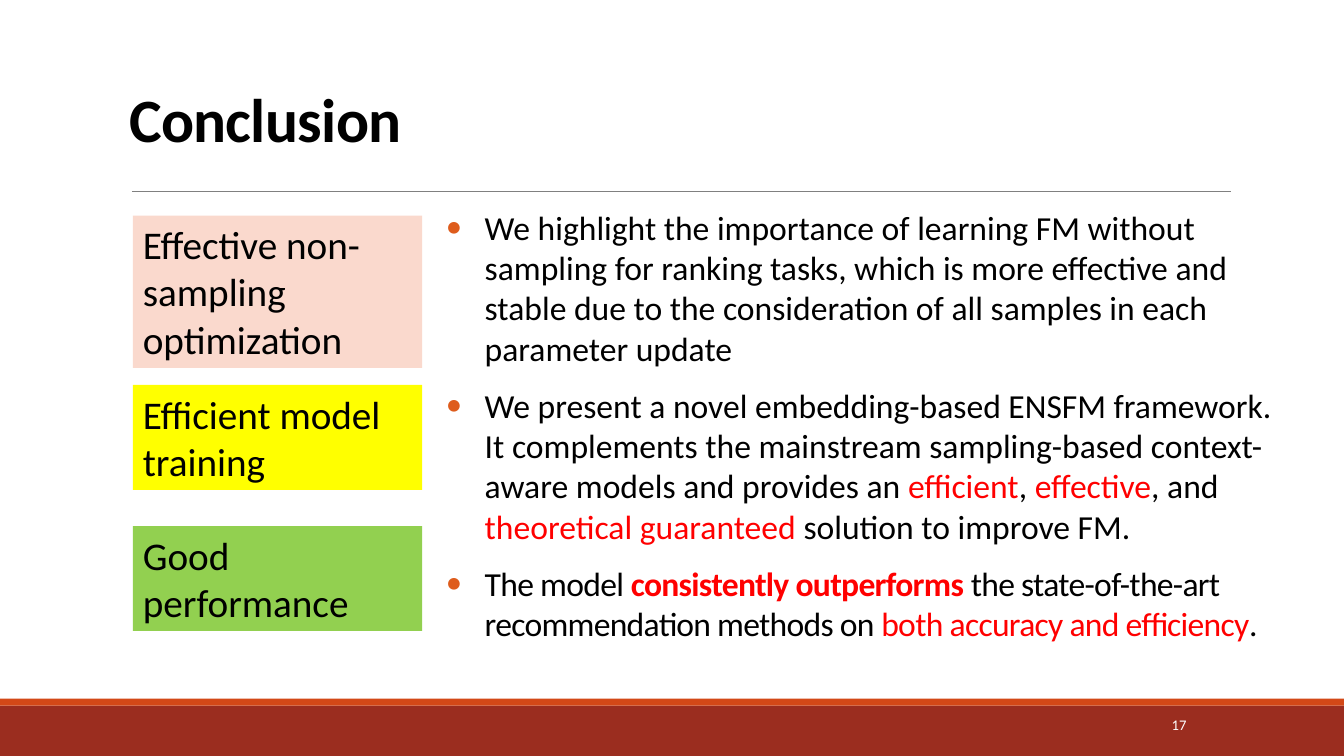
from lxml.etree import SubElement
from pptx import Presentation
from pptx.dml.color import RGBColor
from pptx.enum.shapes import MSO_CONNECTOR as Connector, MSO_SHAPE as Shape
from pptx.enum.text import MSO_ANCHOR as Anchor, PP_ALIGN as Align
from pptx.oxml.ns import qn
from pptx.util import Pt

BLACK = RGBColor(0x00, 0x00, 0x00)
WHITE = RGBColor(0xFF, 0xFF, 0xFF)
RED = RGBColor(0xFF, 0x00, 0x00)
GRAY = RGBColor(0x80, 0x80, 0x80)
BRICK = RGBColor(0x9B, 0x2D, 0x1F)
ORANGE = RGBColor(0xD3, 0x48, 0x17)
BULLET = RGBColor(0xDE, 0x5C, 0x1C)
PEACH = RGBColor(0xFA, 0xD9, 0xCD)
YELLOW = RGBColor(0xFF, 0xFF, 0x00)
GREEN = RGBColor(0x92, 0xD0, 0x50)

WIDTH, HEIGHT = 960, 540


class SlideBuilder:
    font_name = "Calibri"

    def __init__(self, slide):
        self.slide = slide

    def rectangle(self, left, top, width, height, color):
        shape = self.slide.shapes.add_shape(
            Shape.RECTANGLE, Pt(left), Pt(top), Pt(width), Pt(height))
        shape.shadow.inherit = False
        shape.fill.solid()
        shape.fill.fore_color.rgb = color
        shape.line.fill.background()
        return shape

    def rule(self, left, right, y):
        line = self.slide.shapes.add_connector(
            Connector.STRAIGHT, Pt(left), Pt(y), Pt(right), Pt(y))
        line.line.color.rgb = GRAY
        line.line.width = Pt(0.5)
        SubElement(line._element.spPr, qn("a:effectLst"))

    def frame(self, shape, **formats):
        for name, value in formats.items():
            setattr(shape.text_frame, name, value)
        return shape.text_frame

    def text_box(self, left, top, width, height, **formats):
        shape = self.slide.shapes.add_textbox(
            Pt(left), Pt(top), Pt(width), Pt(height))
        return self.frame(shape, word_wrap=True, **formats)

    def run(self, paragraph, text, size, color=BLACK, bold=False, spacing=0):
        run = paragraph.add_run()
        run.text = text
        formats = {"name": self.font_name, "size": Pt(size), "bold": bold}
        for name, value in formats.items():
            setattr(run.font, name, value)
        run.font.color.rgb = color
        if spacing:
            run._r.get_or_add_rPr().set("spc", str(int(spacing * 100)))

    def label(self, left, top, width, height, color, text):
        shape = self.rectangle(left, top, width, height, color)
        frame = self.frame(shape, word_wrap=True, vertical_anchor=Anchor.TOP)
        paragraph = frame.paragraphs[0]
        paragraph.alignment = Align.LEFT
        self.run(paragraph, text, 28)

    def bullet(self, paragraph, runs, spacing):
        paragraph.space_after = Pt(12)
        properties = paragraph._p.get_or_add_pPr()
        properties.set("marL", str(Pt(64.1)))
        properties.set("indent", str(Pt(-27.4)))
        color = SubElement(properties, qn("a:buClr"))
        SubElement(color, qn("a:srgbClr"), val=str(BULLET))
        SubElement(properties, qn("a:buSzPct"), val="75000")
        SubElement(properties, qn("a:buFont"), typeface=self.font_name)
        SubElement(properties, qn("a:buChar"), char="●")
        for text, *style in runs:
            self.run(paragraph, text, 24, *style, spacing=spacing)


LABELS = [
    (154.1, 108.7, PEACH, "Effective non-sampling optimization"),
    (275, 74.9, YELLOW, "Efficient model training"),
    (375.8, 74.9, GREEN, "Good performance"),
]

# Letter spacing and runs of each bullet
POINTS = [
    (0, [("We highlight the importance of learning FM without sampling for "
          "ranking tasks, which is more effective and stable due to the "
          "consideration of all samples in each parameter update",)]),
    (0, [("We present a novel embedding-based ENSFM framework. It complements "
          "the mainstream sampling-based context-aware models and provides an ",),
         ("efficient", RED), (", ",), ("effective", RED), (", and ",),
         ("theoretical guaranteed ", RED), ("solution to improve FM.",)]),
    (-0.5, [("The model ",), ("consistently outperforms ", RED, True),
            ("the state-of-the-art recommendation methods on ",),
            ("both accuracy and efficiency", RED), (".",)]),
]


def main():
    presentation = Presentation()
    presentation.slide_width, presentation.slide_height = Pt(WIDTH), Pt(HEIGHT)
    slide = presentation.slides.add_slide(presentation.slide_layouts[6])
    builder = SlideBuilder(slide)

    # Footer bands and title rule
    builder.rectangle(0, 504, WIDTH, 36, BRICK)
    builder.rectangle(0, 499, WIDTH, 5, ORANGE)
    builder.rule(94.3, 879, 136.8)

    # Slide number
    number = builder.text_box(811.4, 504, 43.2, 27.4,
                              vertical_anchor=Anchor.MIDDLE)
    number.paragraphs[0].alignment = Align.RIGHT
    builder.run(number.paragraphs[0], "17", 10.5, WHITE)

    # Title
    title = builder.text_box(91.4, 56.9, 720, 54, vertical_anchor=Anchor.BOTTOM,
                             margin_left=Pt(0.9), margin_top=Pt(0.9),
                             margin_right=0, margin_bottom=0)
    builder.run(title.paragraphs[0], "Conclusion", 44, bold=True, spacing=-0.5)

    # Conclusions
    body = builder.text_box(282.2, 142.6, 643, 360.7, margin_left=0,
                            margin_top=Pt(5), margin_right=0, margin_bottom=0)
    for index, (spacing, runs) in enumerate(POINTS):
        paragraph = body.add_paragraph() if index else body.paragraphs[0]
        builder.bullet(paragraph, runs, spacing)

    # Colored labels
    for top, height, color, text in LABELS:
        builder.label(95, top, 206.6, height, color, text)

    presentation.save("out.pptx")


if __name__ == "__main__":
    main()
